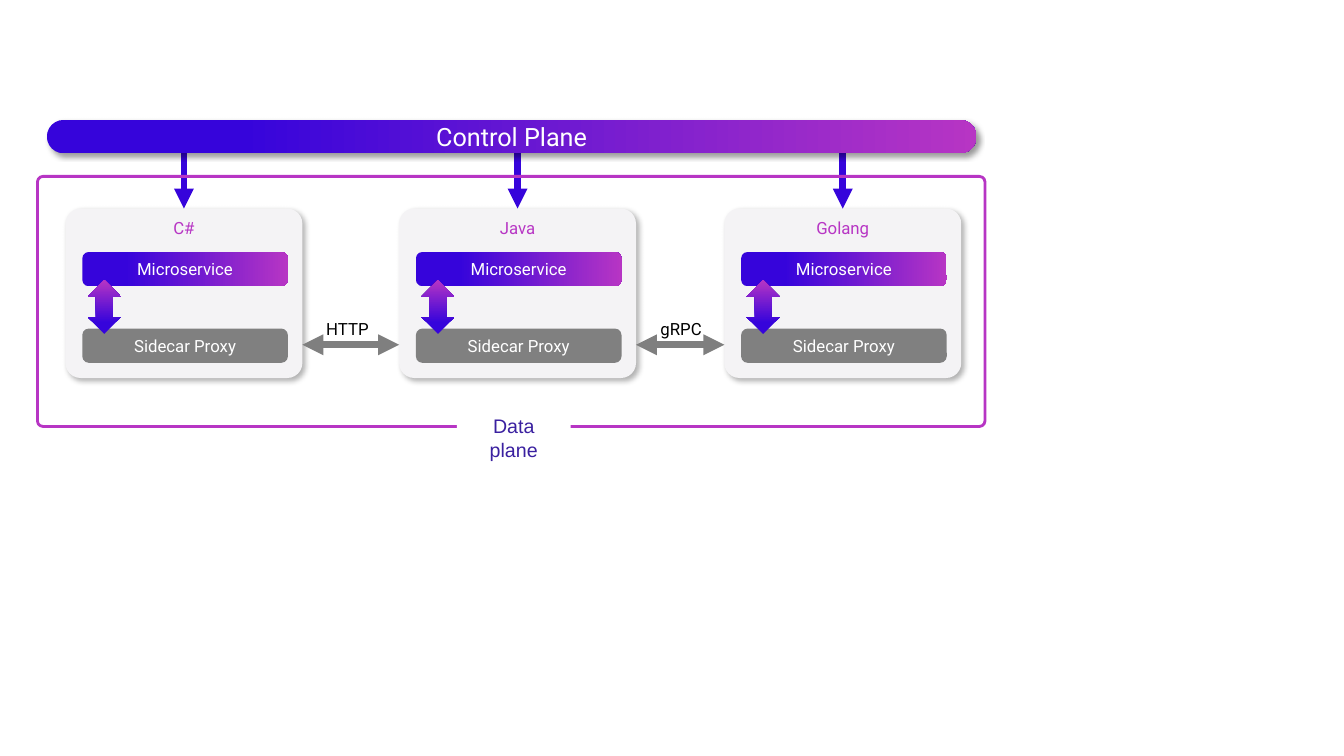
from lxml.etree import SubElement
from pptx import Presentation
from pptx.dml.color import RGBColor
from pptx.enum.shapes import MSO_CONNECTOR, MSO_SHAPE
from pptx.enum.text import MSO_ANCHOR, PP_ALIGN
from pptx.oxml.ns import qn
from pptx.util import Pt

BLUE = RGBColor(0x36, 0x04, 0xDB)
MAGENTA = RGBColor(0xB7, 0x35, 0xC4)
INDIGO = RGBColor(0x3A, 0x20, 0xA0)
PALE = RGBColor(0xF4, 0xF3, 0xF5)
GRAY = RGBColor(0x80, 0x80, 0x80)
ARROW_GRAY = RGBColor(0x7F, 0x7F, 0x7F)
WHITE = RGBColor(0xFF, 0xFF, 0xFF)
BLACK = RGBColor(0, 0, 0)

CARD_TOP, CARD_WIDTH, CARD_HEIGHT = 149, 169.2, 121
CARDS = [("C#", 46.8), ("Java", 285.1), ("Golang", 517.4)]
PROTOCOLS = ["HTTP", "gRPC"]


def write(shape, text, size, color, font="Roboto", anchor=MSO_ANCHOR.MIDDLE):
    """Put one centred line of text into a shape."""
    frame = shape.text_frame
    frame.text = text
    frame.word_wrap = True
    frame.vertical_anchor = anchor
    paragraph = frame.paragraphs[0]
    paragraph.alignment = PP_ALIGN.CENTER
    run_font = paragraph.runs[0].font
    run_font.name, run_font.size = font, Pt(size)
    run_font.color.rgb = color


def add_block(slide, kind, box, fill=None, corner=None):
    """Add a borderless shape with an optional solid fill and corner radius."""
    shape = slide.shapes.add_shape(kind, *map(Pt, box))
    shape.shadow.inherit = False
    shape.line.fill.background()
    if fill is None:
        shape.fill.background()
    else:
        shape.fill.solid()
        shape.fill.fore_color.rgb = fill
    if corner is not None:
        shape.adjustments[0] = corner
    return shape


def fill_gradient(shape, angle):
    """Blend a shape from blue to magenta."""
    shape.fill.gradient()
    shape.fill.gradient_angle = angle
    stops = shape.fill.gradient_stops
    for stop, color, position in zip(stops, (BLUE, MAGENTA), (0.21, 1)):
        stop.color.rgb = color
        stop.position = position


def add_shadow(shape, opacity):
    """Give a shape a soft shadow towards the lower right."""
    effects = shape._element.spPr.find(qn("a:effectLst"))
    shadow = SubElement(effects, qn("a:outerShdw"), blurRad=str(Pt(4)),
                        dist=str(Pt(3)), dir="2700000", algn="tl", rotWithShape="0")
    color = SubElement(shadow, qn("a:srgbClr"), val="000000")
    SubElement(color, qn("a:alpha"), val=str(opacity * 1000))


def add_arrow(slide, start, end, color, width, ends):
    """Add a straight connector with triangles at the named ends."""
    arrow = slide.shapes.add_connector(
        MSO_CONNECTOR.STRAIGHT, *map(Pt, (*start, *end)))
    arrow.line.color.rgb = color
    arrow.line.width = Pt(width)
    line = arrow.line._get_or_add_ln()
    for name in ends:
        SubElement(line, qn(f"a:{name}"), type="triangle")
    SubElement(arrow._element.spPr, qn("a:effectLst"))
    return arrow


def add_service_card(slide, box, language):
    """Draw a card with a microservice linked to its sidecar proxy."""
    left, top, width, height = box
    card = add_block(slide, MSO_SHAPE.ROUNDED_RECTANGLE, box, PALE, 0.089)
    add_shadow(card, 30)
    write(card, language, 12, MAGENTA, anchor=MSO_ANCHOR.TOP)
    bars = []
    for label, offset in (("Microservice", 31), ("Sidecar Proxy", 85.7)):
        bar = add_block(slide, MSO_SHAPE.ROUNDED_RECTANGLE,
                        (left + 12, top + offset, width - 22.3, 24.5), GRAY, 0.19)
        write(bar, label, 12, WHITE)
        bars.append(bar)
    fill_gradient(bars[0], 0)
    link = add_block(slide, MSO_SHAPE.UP_DOWN_ARROW,
                     (left + 15.8, top + 51, 23.8, 38.5))
    link.rotation = 180
    fill_gradient(link, 270)
    return card


def add_protocol_arrow(slide, left, right, y, label):
    """Draw a two-way arrow between cards with its protocol above."""
    add_arrow(slide, (left, y), (right, y), ARROW_GRAY, 5, ("headEnd", "tailEnd"))
    caption = slide.shapes.add_textbox(Pt(left - 9.4), Pt(y - 22), Pt(83.2), Pt(21.8))
    write(caption, label, 12, BLACK, anchor=MSO_ANCHOR.TOP)


def add_control_plane(slide, box, cards):
    """Draw the control plane bar and its arrows down to the cards."""
    left, top, width, height = box
    for card in cards:
        x = (card.left + card.width / 2) / Pt(1)
        arrow = add_arrow(slide, (x, top + 17.3), (x, CARD_TOP), BLUE, 4.75, ("tailEnd",))
        arrow.end_connect(card, 0)
    bar = add_block(slide, MSO_SHAPE.ROUNDED_RECTANGLE, box, corner=0.5)
    fill_gradient(bar, 0)
    add_shadow(bar, 40)
    write(bar, "Control Plane", 18, WHITE)


def add_data_plane(slide, box):
    """Draw the data plane frame with its label over the lower edge."""
    left, top, width, height = box
    frame = add_block(slide, MSO_SHAPE.ROUNDED_RECTANGLE, box, corner=0.022)
    frame.line.color.rgb = MAGENTA
    frame.line.width = Pt(2)
    label = add_block(slide, MSO_SHAPE.RECTANGLE,
                      (left + 299.5, top + height - 12.3, 81.4, 41), WHITE)
    write(label, "Data plane", 14, INDIGO, "Arial", MSO_ANCHOR.TOP)


def add_service_mesh(slide):
    """Place the cards, protocol arrows and both planes."""
    cards = [add_service_card(slide, (left, CARD_TOP, CARD_WIDTH, CARD_HEIGHT), language)
             for language, left in CARDS]
    for protocol, (_, left), (_, right) in zip(PROTOCOLS, CARDS, CARDS[1:]):
        add_protocol_arrow(slide, left + CARD_WIDTH, right, CARD_TOP + 97.3, protocol)
    add_control_plane(slide, (33.5, 85.7, 664, 23.8), cards)
    add_data_plane(slide, (26.8, 126, 676.8, 178.6))


def main():
    """Build and save the presentation."""
    presentation = Presentation()
    presentation.slide_width, presentation.slide_height = Pt(960), Pt(540)
    add_service_mesh(presentation.slides.add_slide(presentation.slide_layouts[6]))
    presentation.save("out.pptx")


if __name__ == "__main__":
    main()
